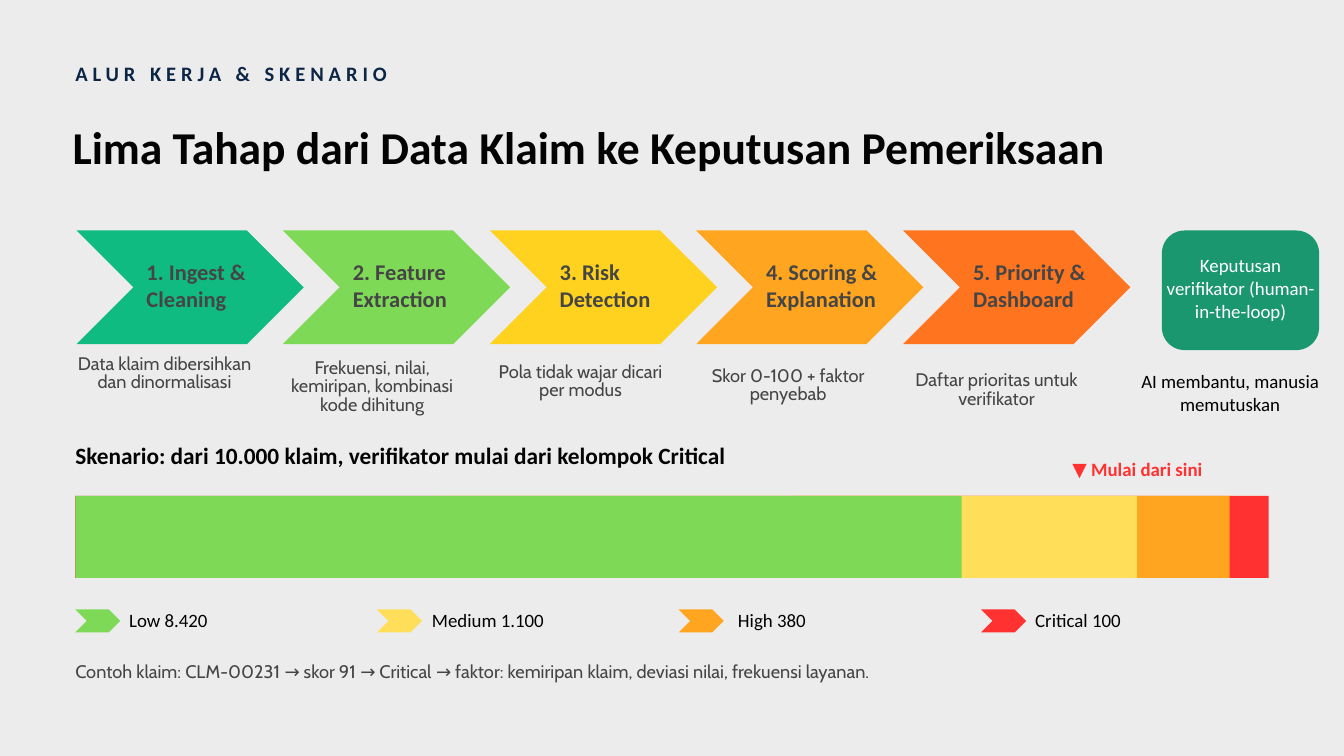
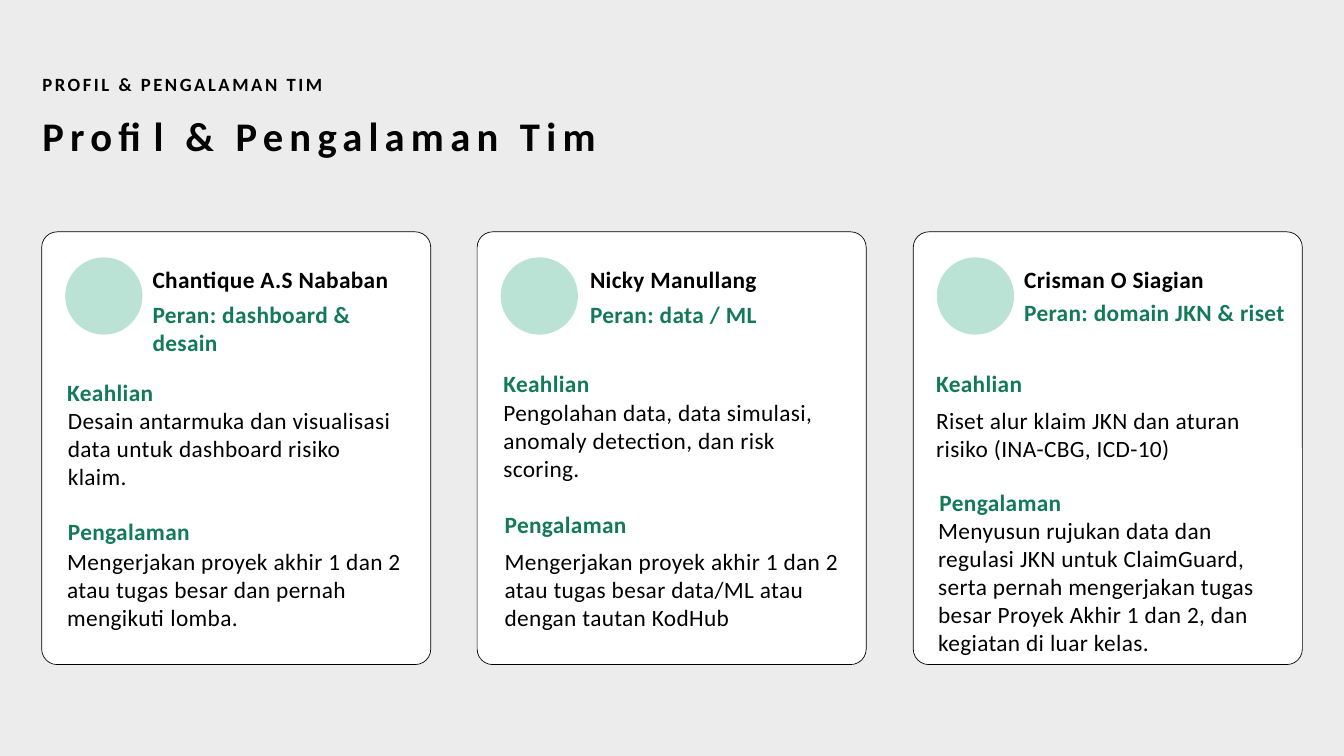
from pptx import Presentation
from pptx.dml.color import RGBColor
from pptx.enum.shapes import MSO_SHAPE
from pptx.enum.text import PP_ALIGN
from pptx.util import Pt

PX = 9144
BACKDROP = RGBColor(0xED, 0xEC, 0xEC)
BLACK = RGBColor(0, 0, 0)
INK = RGBColor(0x03, 0x03, 0x03)
WHITE = RGBColor(0xFF, 0xFF, 0xFF)
GRAY = RGBColor(0x45, 0x45, 0x45)
NAVY = RGBColor(0x0B, 0x25, 0x45)
EMERALD = RGBColor(0x10, 0xBB, 0x82)
LIME = RGBColor(0x7E, 0xD9, 0x57)
GOLD = RGBColor(0xFF, 0xD2, 0x1F)
YELLOW = RGBColor(0xFF, 0xDE, 0x59)
AMBER = RGBColor(0xFF, 0xA5, 0x1F)
ORANGE = RGBColor(0xFF, 0x75, 0x1F)
RED = RGBColor(0xFF, 0x31, 0x31)
GREEN = RGBColor(0x1B, 0x97, 0x6F)
DARK_GREEN = RGBColor(0x13, 0x7A, 0x58)
MINT = RGBColor(0xBA, 0xE2, 0xD5)


def add_figure(slide, kind, left, top, width, height, fill, corner=None, outline=None):
    figure = slide.shapes.add_shape(kind, left * PX, top * PX, width * PX, height * PX)
    figure.shadow.inherit = False
    figure.fill.solid()
    figure.fill.fore_color.rgb = fill
    if corner is not None:
        figure.adjustments[0] = corner
    if outline is None:
        figure.line.fill.background()
    else:
        figure.line.color.rgb = outline
        figure.line.width = Pt(0.75)


def add_text(slide, words, left, top, width, height, size, color, leading,
             bold=False, centered=False, tracking=0, face="Calibri"):
    box = slide.shapes.add_textbox(left * PX, top * PX, width * PX, height * PX)
    frame = box.text_frame
    frame.margin_left = frame.margin_right = frame.margin_top = frame.margin_bottom = 0
    frame.word_wrap = True
    frame.text = words
    for paragraph in frame.paragraphs:
        paragraph.alignment = PP_ALIGN.CENTER if centered else PP_ALIGN.LEFT
        paragraph.line_spacing = Pt(leading)
        for run in paragraph.runs:
            run.font.name = face
            run.font.size = Pt(size)
            run.font.bold = bold
            run.font.color.rgb = color
            if tracking:
                run._r.get_or_add_rPr().set("spc", str(round(tracking * 100)))


deck = Presentation()
deck.slide_width = 2000 * PX
deck.slide_height = 1125 * PX
workflow, team = [deck.slides.add_slide(deck.slide_layouts[6]) for _ in range(2)]
for slide in (workflow, team):
    slide.background.fill.solid()
    slide.background.fill.fore_color.rgb = BACKDROP

add_text(workflow, "ALUR KERJA & SKENARIO", 112, 91, 992, 42, 22, NAVY, 26.4,
         bold=True, tracking=5.3)
add_text(workflow, "Lima Tahap dari Data Klaim ke Keputusan Pemeriksaan",
         108, 177, 1546, 93, 48.8, INK, 58.5, bold=True)

stages = [
    ("1. Ingest & Cleaning", "Data klaim dibersihkan dan dinormalisasi", EMERALD, 57),
    ("2. Feature Extraction", "Frekuensi, nilai, kemiripan, kombinasi kode dihitung", LIME, 84),
    ("3. Risk Detection", "Pola tidak wajar dicari per modus", GOLD, 57),
    ("4. Scoring & Explanation", "Skor 0-100 + faktor penyebab", AMBER, 57),
    ("5. Priority & Dashboard", "Daftar prioritas untuk verifikator", ORANGE, 57),
]
for index, (stage, detail, color, detail_height) in enumerate(stages):
    stage_left = 114 + index * 615 // 2
    add_figure(workflow, MSO_SHAPE.CHEVRON, stage_left, 343, 338, 169, color)
    add_text(workflow, stage, stage_left + 104, 384, 187, 82, 24, GRAY, 28.8, bold=True)
    add_text(workflow, detail, 112 + index * 619 // 2, 530 + index * 6, 266, detail_height,
             19.5, GRAY, 19.5, centered=True, face="Cabin")

add_figure(workflow, MSO_SHAPE.ROUNDED_RECTANGLE, 1729, 343, 234, 178, GREEN, corner=0.19)
add_text(workflow, "Keputusan verifikator (human-in-the-loop)", 1729, 378, 234, 104,
         20.2, WHITE, 24.3, centered=True)
add_text(workflow, "AI membantu, manusia memutuskan", 1697, 550, 267, 71,
         20.2, BLACK, 24.3, centered=True)

add_text(workflow, "Skenario: dari 10.000 klaim, verifikator mulai dari kelompok Critical",
         112, 656, 1001, 45, 25, INK, 30, bold=True)
add_text(workflow, "▼ Mulai dari sini", 1535, 681, 315, 36, 20.2, RED, 24.3,
         bold=True, centered=True)
for left, right, color in [(112, 1888, RED), (1179, 1830, AMBER),
                           (646, 1692, YELLOW), (112, 1431, LIME)]:
    add_figure(workflow, MSO_SHAPE.RECTANGLE, left, 738, right - left, 122, color)

risk_levels = [("Low 8.420", LIME, 117), ("Medium 1.100", YELLOW, 170),
               ("High 380", AMBER, 117), ("Critical 100", RED, 128)]
for index, (level, color, label_width) in enumerate(risk_levels):
    level_left = 112 + index * 1348 // 3
    add_figure(workflow, MSO_SHAPE.CHEVRON, level_left, 907, 67, 34, color)
    add_text(workflow, level, level_left + 80, 905, label_width, 36,
             20.2, BLACK, 24.3, centered=True)

add_text(workflow, "Contoh klaim: CLM-00231 → skor 91 → Critical → faktor: "
         "kemiripan klaim, deviasi nilai, frekuensi layanan.",
         112, 972, 1751, 41, 19.5, GRAY, 31.5, face="Cabin")

add_text(team, "PROFIL & PENGALAMAN TIM", 63, 108, 421, 38, 20, BLACK, 24,
         bold=True, tracking=2.7)
add_text(team, "Profil & Pengalaman Tim", 63, 165, 835, 82, 43.5, INK, 52.2,
         bold=True, tracking=6.7)

members = [
    [("Chantique A.S Nababan", 227, 395, 352, 46, BLACK, True),
     ("Peran: dashboard &\ndesain", 227, 446, 303, 86, DARK_GREEN, True),
     ("Keahlian", 100, 563, 129, 46, DARK_GREEN, True),
     ("Desain antarmuka dan visualisasi data untuk dashboard risiko klaim.",
      101, 604, 501, 127, BLACK, False),
     ("Pengalaman", 101, 769, 182, 46, DARK_GREEN, True),
     ("Mengerjakan proyek akhir 1 dan 2 atau tugas besar dan pernah mengikuti lomba.",
      100, 814, 501, 127, BLACK, False)],
    [("Nicky Manullang", 878, 395, 249, 46, BLACK, True),
     ("Peran: data / ML", 878, 446, 248, 46, DARK_GREEN, True),
     ("Keahlian", 749, 550, 129, 46, DARK_GREEN, True),
     ("Pengolahan data, data simulasi, anomaly detection, dan risk scoring.",
      749, 592, 505, 127, BLACK, False),
     ("Pengalaman", 751, 759, 182, 46, DARK_GREEN, True),
     ("Mengerjakan proyek akhir 1 dan 2 atau tugas besar data/ML atau dengan tautan KodHub",
      751, 814, 505, 127, BLACK, False)],
    [("Crisman O Siagian", 1524, 394, 268, 46, BLACK, True),
     ("Peran: domain JKN & riset", 1524, 444, 397, 46, DARK_GREEN, True),
     ("Keahlian", 1393, 550, 129, 46, DARK_GREEN, True),
     ("Riset alur klaim JKN dan aturan risiko (INA-CBG, ICD-10)",
      1393, 604, 528, 86, BLACK, False),
     ("Pengalaman", 1398, 726, 182, 46, DARK_GREEN, True),
     ("Menyusun rujukan data dan regulasi JKN untuk ClaimGuard, serta pernah mengerjakan "
      "tugas besar Proyek Akhir 1 dan 2, dan kegiatan di luar kelas.",
      1396, 768, 528, 208, BLACK, False)],
]
for index, profile in enumerate(members):
    card_left = 62 + index * 1297 // 2
    add_figure(team, MSO_SHAPE.ROUNDED_RECTANGLE, card_left, 345, 579, 644, WHITE,
               corner=0.04, outline=BLACK)
    add_figure(team, MSO_SHAPE.OVAL, card_left + 35, 383, 115, 115, MINT)
    for words, left, top, width, height, color, bold in profile:
        add_text(team, words, left, top, width, height, 25, color, 30,
                 bold=bold, tracking=0.4)

deck.save("out.pptx")
